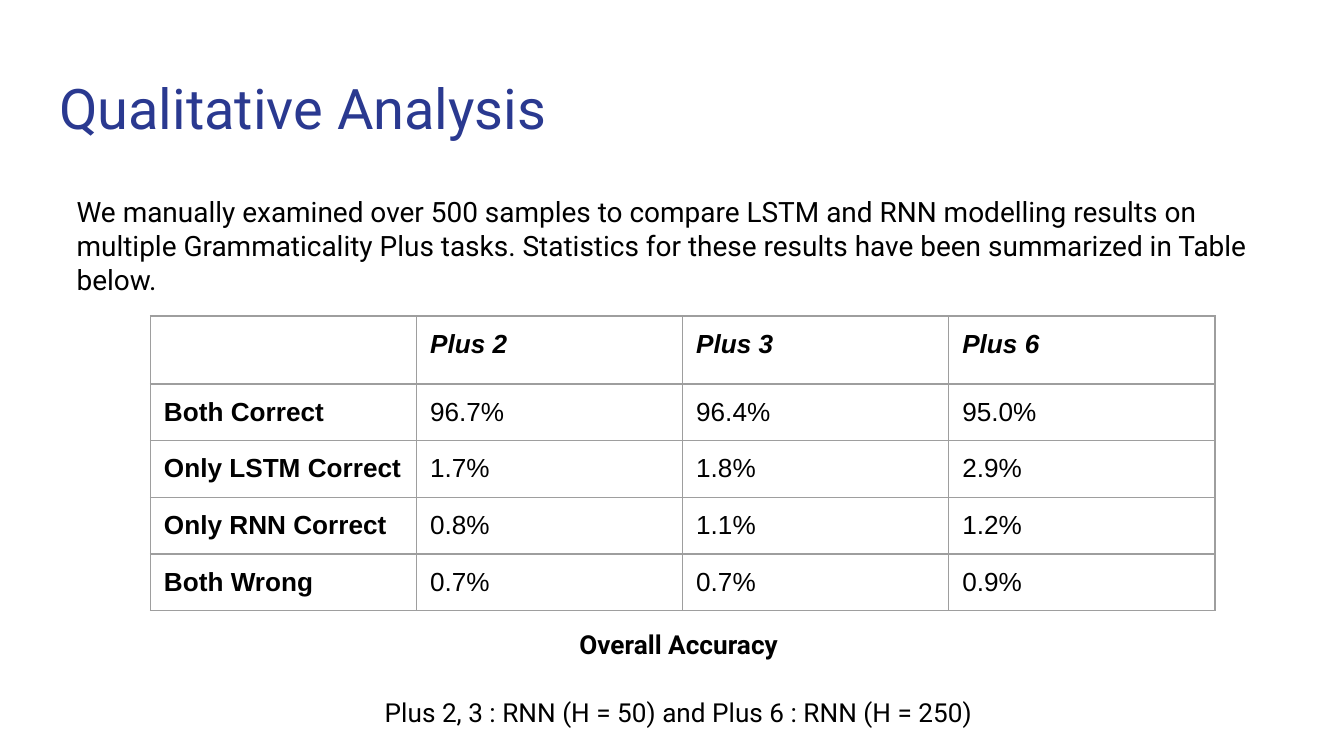
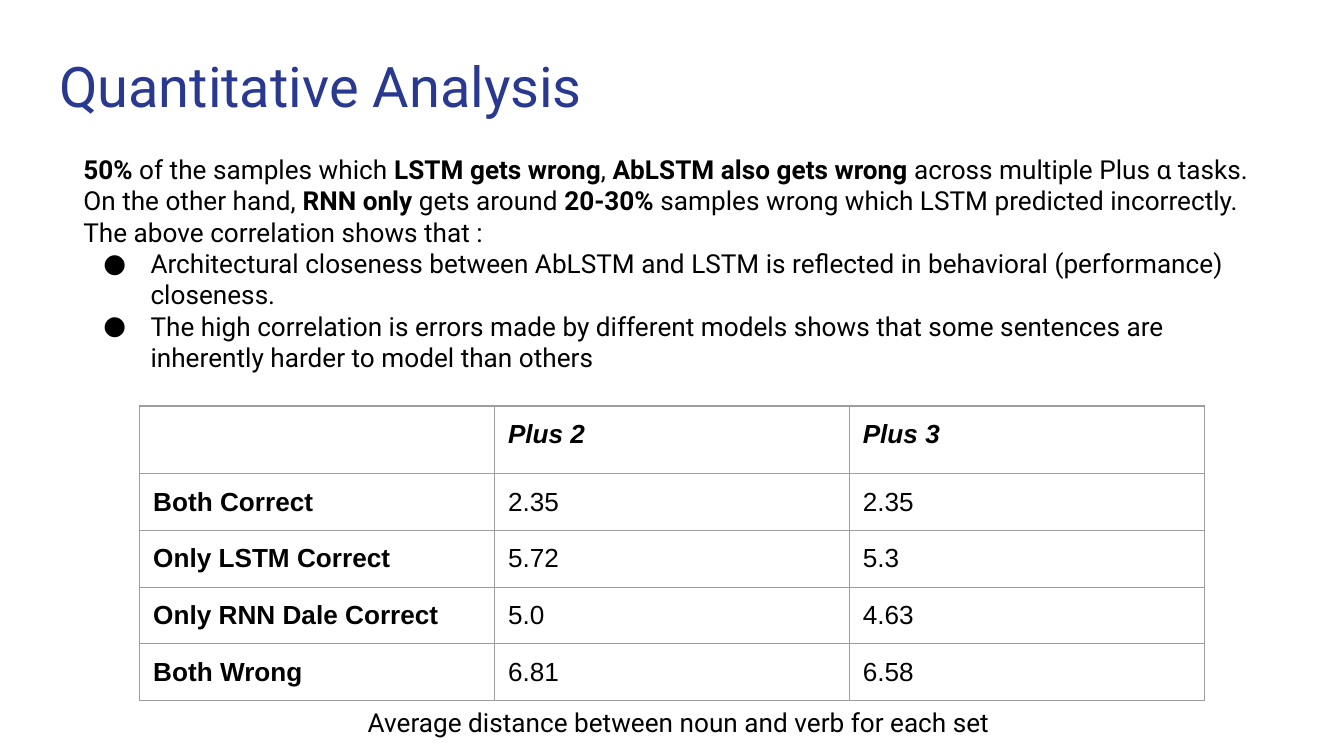
from dataclasses import dataclass
from lxml.etree import SubElement as Sub
from pptx import Presentation
from pptx.dml.color import RGBColor as RGB
from pptx.enum.text import MSO_ANCHOR, MSO_AUTO_SIZE, PP_ALIGN
from pptx.oxml.ns import qn
from pptx.util import Inches, Pt


@dataclass(frozen=True)
class Theme:
    title: RGB = RGB(0x2A, 0x39, 0x90)
    ink: RGB = RGB(0, 0, 0)
    rule: str = "9E9E9E"
    sans: str = "Roboto"
    grid: str = "Arial"
    head: int = 30
    lead: int = 15
    text: int = 14


look = Theme()
deck = Presentation()
deck.slide_width, deck.slide_height = Inches(10), Inches(5.625)
pad = Inches(0.1)


def span(*box):
    """Turn left, top, width and height in percent of the slide into lengths."""
    sides = (deck.slide_width, deck.slide_height) * 2
    return [int(side * part / 100) for side, part in zip(sides, box)]


def write(shape, box, lines, size, color=look.ink, align=PP_ALIGN.LEFT):
    """Place a shape and fill it; ** marks bold, a leading bullet makes an item."""
    shape.left, shape.top, shape.width, shape.height = span(*box)
    frame = shape.text_frame
    frame.word_wrap = True
    frame.auto_size = MSO_AUTO_SIZE.NONE
    frame.vertical_anchor = MSO_ANCHOR.TOP
    frame.margin_left = frame.margin_right = pad
    frame.margin_top = frame.margin_bottom = pad
    for i, line in enumerate(lines):
        para = frame.add_paragraph() if i else frame.paragraphs[0]
        para.alignment = align
        para.space_before = Pt(0)
        props = para._p.get_or_add_pPr()
        item = line.startswith("●")
        props.set("marL", str(Inches(0.5) if item else 0))
        props.set("indent", str(Inches(-0.35) if item else 0))
        if item:
            tint = Sub(props, qn("a:buClr"))
            Sub(tint, qn("a:srgbClr"), val=str(look.ink))
            Sub(props, qn("a:buFont"), typeface=look.sans)
            Sub(props, qn("a:buChar"), char="●")
        else:
            Sub(props, qn("a:buNone"))
        for j, part in enumerate(line.removeprefix("●").split("**")):
            if part:
                run = para.add_run()
                run.text = part
                font = run.font
                font.name, font.size = look.sans, Pt(size)
                font.bold = j % 2 == 1
                font.color.rgb = color


pages = [
    dict(
        title="Qualitative Analysis", top=8,
        body=["We manually examined over 500 samples to compare LSTM and RNN "
              "modelling results on multiple Grammaticality Plus tasks. "
              "Statistics for these results have been summarized in Table below."],
        area=(4.7, 24, 89.8, 22.6), size=look.lead,
        spot=(11.2, 41.8, 79.2, 37.5),
        rows=[["", "Plus 2", "Plus 3", "Plus 6"],
              ["Both Correct", "96.7%", "96.4%", "95.0%"],
              ["Only LSTM Correct", "1.7%", "1.8%", "2.9%"],
              ["Only RNN Correct", "0.8%", "1.1%", "1.2%"],
              ["Both Wrong", "0.7%", "0.7%", "0.9%"]],
        notes=[(81.4, "**Overall Accuracy**"),
               (90.3, "Plus 2, 3 : RNN (H = 50) and Plus 6 : RNN (H = 250)")],
    ),
    dict(
        title="Quantitative Analysis", top=5,
        body=["**50%** of the samples which **LSTM gets wrong**, **AbLSTM also "
              "gets wrong** across multiple Plus α tasks. On the other hand, "
              "**RNN only** gets around **20-30%** samples wrong which LSTM "
              "predicted incorrectly. The above correlation shows that :",
              "●Architectural closeness between AbLSTM and LSTM is reflected in "
              "behavioral (performance) closeness.",
              "●The high correlation is errors made by different models shows "
              "that some sentences are inherently harder to model than others"],
        area=(5.2, 18.5, 89, 35.2), size=look.text,
        spot=(10.4, 53.7, 79.2, 37.5),
        rows=[["", "Plus 2", "Plus 3"],
              ["Both Correct", "2.35", "2.35"],
              ["Only LSTM Correct", "5.72", "5.3"],
              ["Only RNN Dale Correct", "5.0", "4.63"],
              ["Both Wrong", "6.81", "6.58"]],
        notes=[(91.7, "Average distance between noun and verb for each set")],
    ),
]

for page in pages:
    slide = deck.slides.add_slide(deck.slide_layouts[1])
    shapes = slide.shapes
    write(shapes.title, (3.4, page["top"], 93.2, 11.7), [page["title"]],
          look.head, look.title)
    write(slide.placeholders[1], page["area"], page["body"], page["size"])

    rows = page["rows"]
    table = shapes.add_table(len(rows), len(rows[0]), *span(*page["spot"])).table
    table.first_row = table.horz_banding = False
    for r, row in enumerate(rows):
        for c, word in enumerate(row):
            cell = table.cell(r, c)
            cell.margin_left = cell.margin_right = pad
            cell.margin_top = cell.margin_bottom = pad
            props = cell._tc.get_or_add_tcPr()
            for side in ("lnL", "lnR", "lnT", "lnB"):
                edge = Sub(props, qn(f"a:{side}"), w=str(Pt(0.75)))
                fill = Sub(edge, qn("a:solidFill"))
                Sub(fill, qn("a:srgbClr"), val=look.rule)
            cell.fill.background()
            if word:
                cell.text_frame.text = word
                font = cell.text_frame.paragraphs[0].runs[0].font
                font.name, font.size = look.grid, Pt(look.text)
                font.color.rgb = look.ink
                font.bold = r == 0 or c == 0
                font.italic = r == 0

    for top, note in page["notes"]:
        box = (8.2, top, 84.6, 5.3)
        write(shapes.add_textbox(*span(*box)), box, [note], look.text,
              align=PP_ALIGN.CENTER)

deck.save("out.pptx")
